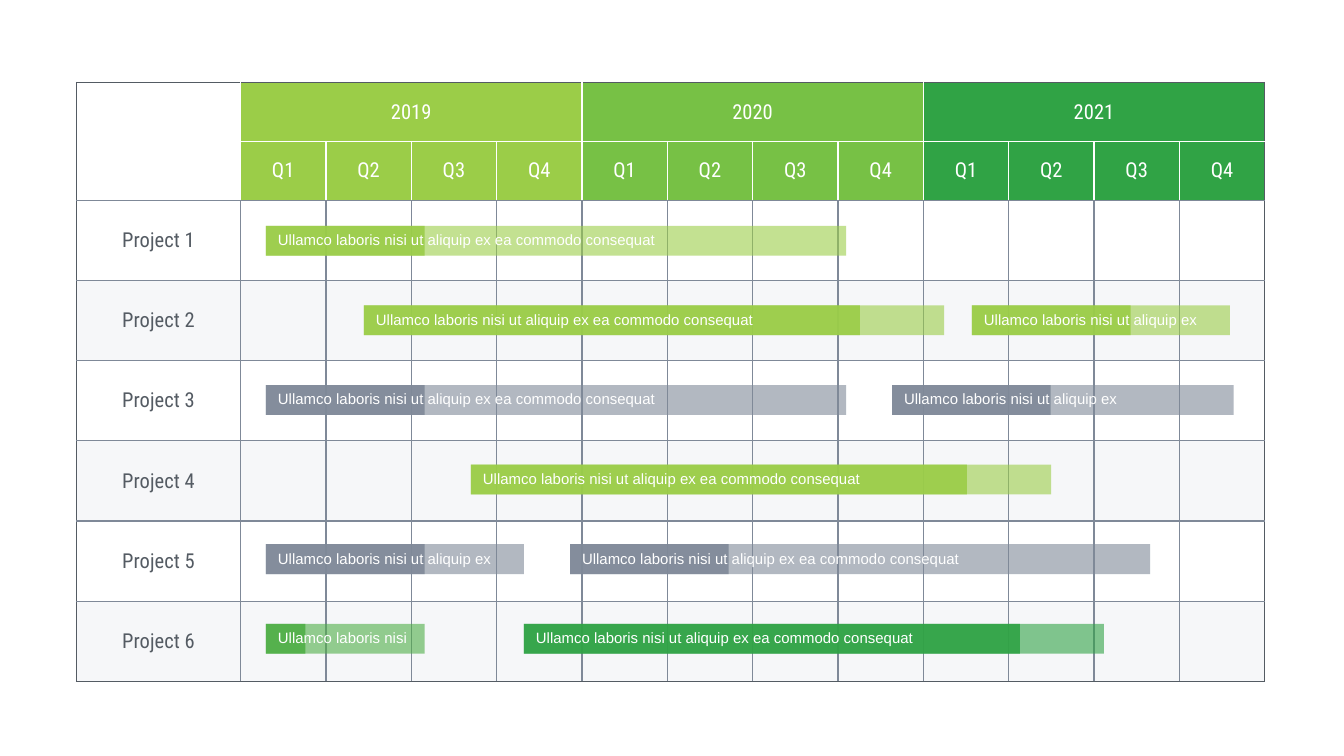
from lxml import etree
from pptx import Presentation
from pptx.dml.color import RGBColor
from pptx.enum import shapes, text
from pptx.oxml import ns
from pptx.util import Pt

WHITE, DARK, GREY, PALE = "FFFFFF", "545B63", "7F8998", "EEF0F4"
LIME, LEAF, MOSS, PINE = "9BCD48", "77C145", "4FAF47", "30A345"
YEARS = [("2019", LIME), ("2020", LEAF), ("2021", PINE)]
ROWS, COLS = 8, 13
HEAD, STEP = 31.6, 42.95  # heights of header and project rows
SIDE = 87.9  # width of the project column

SHORT = "Ullamco laboris nisi"
MID = SHORT + " ut aliquip ex"
LONG = MID + " ea commodo consequat"
NOTES = {SHORT: 81.4, MID: 134.6, LONG: 224}  # label widths

# project row, left from the table edge, full width, done width, colour, label
BARS = [
    (0, 101.5, 310.8, 85, LIME, LONG),
    (1, 154, 310.8, 265.7, LIME, LONG),
    (1, 479.7, 138.2, 85, LIME, MID),
    (2, 101.5, 310.8, 85, GREY, LONG),
    (2, 436.9, 183, 85, GREY, MID),
    (3, 211.3, 310.8, 265.7, LIME, LONG),
    (4, 101.5, 138.2, 85, GREY, MID),
    (4, 264.4, 310.8, 85, GREY, LONG),
    (5, 101.5, 85, 21.2, MOSS, SHORT),
    (5, 239.7, 310.8, 265.7, PINE, LONG),
]


def tint(code):
    return RGBColor.from_string(code)


def paint(fill, code, alpha=100):
    fill.solid()
    fill.fore_color.rgb = tint(code)
    if alpha < 100:
        node = fill._xPr.find(".//" + ns.qn("a:srgbClr"))
        etree.SubElement(node, ns.qn("a:alpha"), val=str(alpha * 1000))


def inset(box):
    box.margin_left = box.margin_right = Pt(2.7)
    box.margin_top = box.margin_bottom = Pt(1.35)


def style(para, face, size, code):
    for run in para.runs:
        run.font.name, run.font.size = face, Pt(size)
        run.font.bold = False
        run.font.color.rgb = tint(code)


def edge(cell, row, col):
    """Dark outer frame, white rules in the header, grey rules elsewhere."""
    top = row < 2
    last = col == COLS - 1 or (row == 0 and col >= COLS - 4)
    sides = {
        "L": DARK if col == 0 else WHITE if top else GREY,
        "R": DARK if last else WHITE if top else GREY,
        "T": DARK if row == 0 else WHITE if row == 1 and col else GREY,
        "B": DARK if row == ROWS - 1 else WHITE if row == 0 and col else GREY,
    }
    props = cell._tc.get_or_add_tcPr()
    for spot, (side, code) in enumerate(sides.items()):
        line = etree.Element(ns.qn("a:ln" + side), w=str(Pt(0.75)))
        fill = etree.SubElement(line, ns.qn("a:solidFill"))
        etree.SubElement(fill, ns.qn("a:srgbClr"), val=code)
        props.insert(spot, line)


def label(row, col):
    if col == 0:
        return f"Project {row - 1}" if row > 1 else ""
    if row == 0:
        return YEARS[(col - 1) // 4][0] if col % 4 == 1 else ""
    return f"Q{(col - 1) % 4 + 1}" if row == 1 else ""


def grid(slide, left, top, wide, high):
    frame = slide.shapes.add_table(ROWS, COLS, Pt(left), Pt(top), Pt(wide), Pt(high))
    table = frame.table
    table.first_row = table.horz_banding = False
    for col in range(COLS):
        table.columns[col].width = Pt((wide - SIDE) / 12 if col else SIDE)
    for row in range(ROWS):
        table.rows[row].height = Pt(HEAD if row < 2 else STEP)

    # Merged corner and year heads
    table.cell(0, 0).merge(table.cell(1, 0))
    for col in range(1, COLS, 4):
        table.cell(0, col).merge(table.cell(0, col + 3))

    for row in range(ROWS):
        for col in range(COLS):
            cell = table.cell(row, col)
            inset(cell)
            cell.vertical_anchor = text.MSO_ANCHOR.MIDDLE
            if row >= 2:
                if row % 2:
                    paint(cell.fill, PALE, 50)
                else:
                    paint(cell.fill, WHITE, 50 if row == 6 else 100)
            elif col:
                paint(cell.fill, YEARS[(col - 1) // 4][1])
            else:
                cell.fill.background()
            edge(cell, row, col)
            words = label(row, col)
            if words:
                cell.text_frame.text = words
                para = cell.text_frame.paragraphs[0]
                para.alignment = text.PP_ALIGN.CENTER
                style(para, "Roboto Condensed", 11, WHITE if row < 2 else DARK)


def bar(slide, left, top, wide, done, code, words):
    group = slide.shapes.add_group_shape()
    # Full span, then the finished part over it
    for width, alpha in ((wide, 60), (done, 90)):
        part = group.shapes.add_shape(
            shapes.MSO_SHAPE.RECTANGLE, Pt(left), Pt(top), Pt(width), Pt(16))
        part.shadow.inherit = False
        paint(part.fill, code, alpha)
        part.line.fill.background()
    # Label
    note = group.shapes.add_textbox(
        Pt(left + 3.75), Pt(top + 1.25), Pt(NOTES[words]), Pt(13))
    frame = note.text_frame
    frame.word_wrap = True
    inset(frame)
    frame.text = words
    style(frame.paragraphs[0], "Arial", 8, WHITE)


def chart(slide, left, top, wide, high):
    grid(slide, left, top, wide, high)
    for row, start, span, done, code, words in BARS:
        bar(slide, left + start, top + 76.8 + 42.65 * row, span, done, code, words)


def main():
    deck = Presentation()
    deck.slide_width, deck.slide_height = Pt(720), Pt(405)
    slide = deck.slides.add_slide(deck.slide_layouts[6])
    chart(slide, 41, 44.2, 636.8, 2 * HEAD + 6 * STEP)
    deck.save("out.pptx")


if __name__ == "__main__":
    main()
